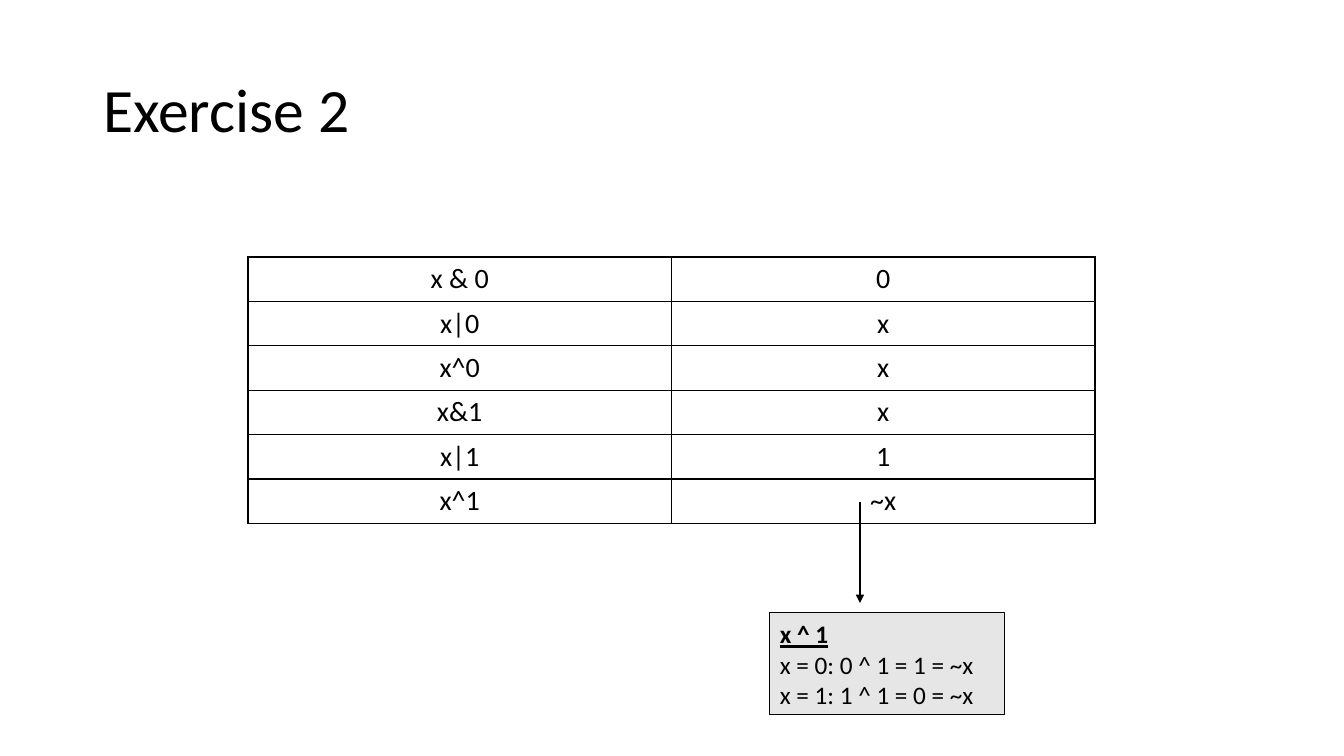
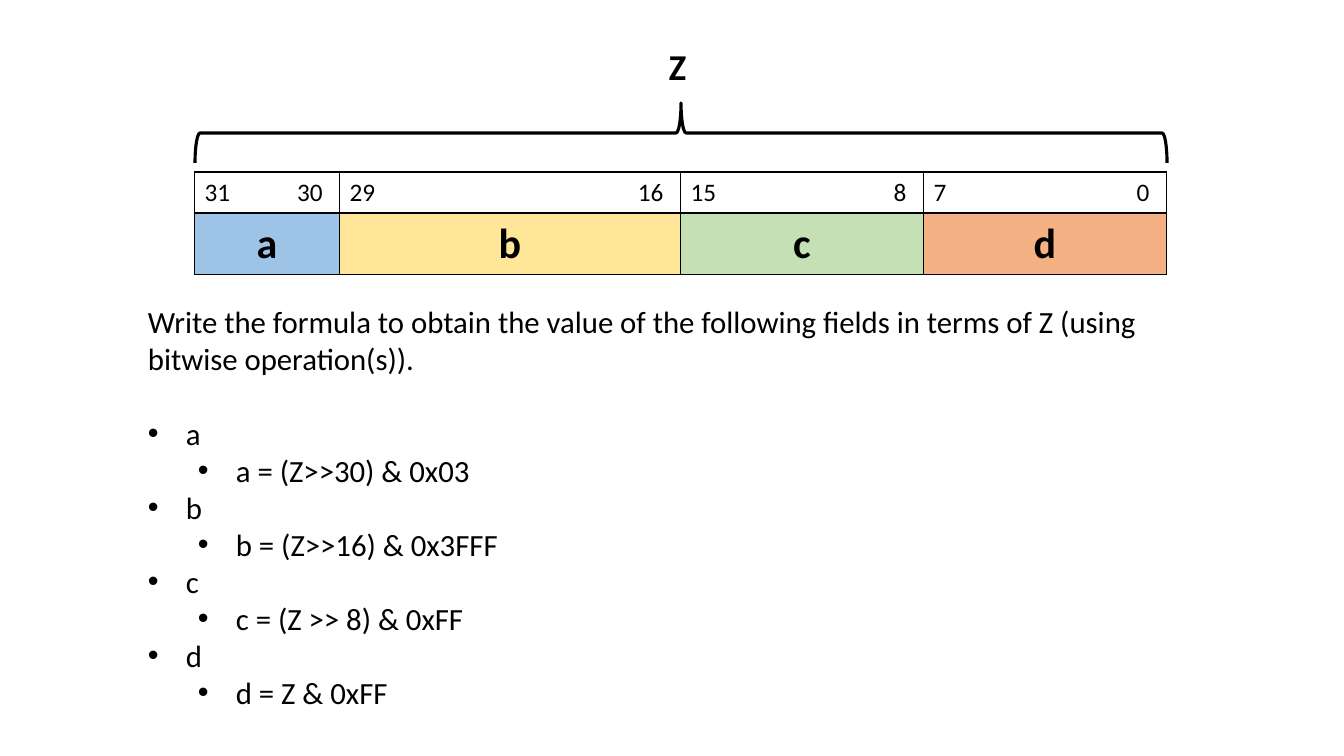
from lxml import etree
from pptx import Presentation
from pptx import util as u
from pptx.dml.color import RGBColor
from pptx.enum import shapes, text
from pptx.oxml import parse_xml
from pptx.oxml.ns import nsdecls, qn

BLACK = RGBColor(0x00, 0x00, 0x00)
GREY = RGBColor(0xE7, 0xE6, 0xE6)
BLUE = RGBColor(0x9D, 0xC3, 0xE6)
YELLOW = RGBColor(0xFF, 0xE6, 0x99)
GREEN = RGBColor(0xC5, 0xE0, 0xB4)
ORANGE = RGBColor(0xF4, 0xB1, 0x83)
FONT = "Calibri"
LEFT, CENTER = text.PP_ALIGN.LEFT, text.PP_ALIGN.CENTER
INDENT = 38
LEVEL_STEP = 50
TAB_GAP = 27

EXERCISE_ROWS = [("x & 0", "0"), ("x|0", "x"), ("x^0", "x"),
                 ("x&1", "x"), ("x|1", "1"), ("x^1", "~x")]
FIELDS = [("a", 31, 30, 145, BLUE), ("b", 29, 16, 341, YELLOW),
          ("c", 15, 8, 243, GREEN), ("d", 7, 0, 243, ORANGE)]
QUESTION = ("Write the formula to obtain the value of the following fields "
            "in terms of Z (using bitwise operation(s)).")
ANSWERS = {"a": "a = (Z>>30) & 0x03", "b": "b = (Z>>16) & 0x3FFF",
           "c": "c = (Z >> 8) & 0xFF", "d": "d = Z & 0xFF"}


def px(value):
    """Turn pixels into EMU."""
    return u.Inches(value / 100.8)


def apply(obj, formats):
    """Set every attribute named in a dict of format values."""
    for name, value in formats.items():
        setattr(obj, name, value)


def write(p, words, size, align=LEFT, **font):
    """Put one formatted run in a paragraph."""
    p.alignment = align
    r = p.add_run()
    r.text = words
    apply(r.font, {"name": FONT, "size": u.Pt(size), "bold": False, **font})
    r.font.color.rgb = BLACK


def next_paragraph(tf):
    """Return the first paragraph while it is empty, otherwise a new one."""
    first = tf.paragraphs[0]
    return tf.add_paragraph() if first.runs else first


def add_title(s, words):
    """Format the title placeholder and fill it."""
    sp = s.shapes.title
    apply(sp, {"left": px(93), "top": px(40), "width": px(1159), "height": px(146)})
    sp.text_frame.vertical_anchor = text.MSO_ANCHOR.MIDDLE
    p = sp.text_frame.paragraphs[0]
    p.line_spacing = 0.9
    write(p, words, 44)


def add_text(s, box):
    """Add a wrapping text box and return its frame."""
    tf = s.shapes.add_textbox(*map(px, box)).text_frame
    tf.word_wrap = True
    return tf


def add_shape(s, kind, box, weight, fill=None):
    """Add a black-outlined preset shape."""
    sp = s.shapes.add_shape(kind, *map(px, box))
    sp.shadow.inherit = False
    if fill is None:
        sp.fill.background()
    else:
        sp.fill.solid()
        sp.fill.fore_color.rgb = fill
    sp.line.color.rgb = BLACK
    sp.line.width = u.Pt(weight)
    return sp


def add_arrow(s, x1, y1, x2, y2):
    """Add a straight black arrow."""
    line = s.shapes.add_connector(shapes.MSO_CONNECTOR.STRAIGHT,
                                  *map(px, (x1, y1, x2, y2)))
    line.line.color.rgb = BLACK
    line.line.width = u.Pt(1.5)
    etree.SubElement(line.line._get_or_add_ln(), qn("a:tailEnd"), type="triangle")
    etree.SubElement(line._element.spPr, qn("a:effectLst"))


def add_table(s, left, top, widths, heights):
    """Add a plain table with thin black borders and no fill."""
    frame = s.shapes.add_table(len(heights), len(widths), px(left), px(top),
                               px(sum(widths)), px(sum(heights)))
    table = frame.table
    apply(table, {"first_row": False, "horz_banding": False})
    for column, width in zip(table.columns, widths):
        column.width = px(width)
    for row, height in zip(table.rows, heights):
        row.height = px(height)
    for cell in table.iter_cells():
        add_borders(cell)
        cell.fill.background()
    return table


def add_borders(cell):
    """Draw all four borders of a cell."""
    props = cell._tc.get_or_add_tcPr()
    for side in "LRTB":
        props.append(parse_xml(
            f'<a:ln{side} {nsdecls("a")} w="{u.Pt(1)}"><a:solidFill>'
            f'<a:srgbClr val="{BLACK}"/></a:solidFill></a:ln{side}>'))


def add_right_tab(p, position):
    """Give a paragraph one right-aligned tab stop."""
    tabs = etree.SubElement(p._p.get_or_add_pPr(), qn("a:tabLst"))
    etree.SubElement(tabs, qn("a:tab"), pos=str(px(position)), algn="r")


def add_bullet(tf, words, level, before=0):
    """Add a bulleted paragraph at an outline level."""
    p = next_paragraph(tf)
    apply(p, {"level": level, "space_before": u.Pt(before)})
    props = p._p.get_or_add_pPr()
    props.set("marL", str(px(INDENT + level * LEVEL_STEP)))
    props.set("indent", str(-px(INDENT)))
    etree.SubElement(props, qn("a:buFont"), typeface="Arial")
    etree.SubElement(props, qn("a:buChar"), char="•")
    write(p, words, 22)


def build_exercise(prs):
    """Build the slide with the table of bitwise identities."""
    s = prs.slides.add_slide(prs.slide_layouts[5])
    add_title(s, "Exercise 2")
    note = add_shape(s, shapes.MSO_SHAPE.RECTANGLE, (770, 613, 235, 102), 0.75, GREY)
    tf = note.text_frame
    tf.word_wrap = True
    write(next_paragraph(tf), "x ^ 1", 18, bold=True, underline=True)
    for line in ("x = 0: 0 ^ 1 = 1 = ~x", "x = 1: 1 ^ 1 = 0 = ~x"):
        write(next_paragraph(tf), line, 18)
    add_arrow(s, 860, 502, 860, 603)
    table = add_table(s, 248, 257, [423.5] * 2, [43.75] * len(EXERCISE_ROWS))
    for i, row in enumerate(EXERCISE_ROWS):
        for j, words in enumerate(row):
            write(table.cell(i, j).text_frame.paragraphs[0], words, 20, CENTER)


def build_fields(prs):
    """Build the slide with the bit fields of Z and their formulas."""
    s = prs.slides.add_slide(prs.slide_layouts[6])
    widths = [field[3] for field in FIELDS]
    table = add_table(s, 194.5, 172, widths, [41, 61])
    for j, (name, high, low, width, color) in enumerate(FIELDS):
        bits, label = table.cell(0, j), table.cell(1, j)
        p = bits.text_frame.paragraphs[0]
        add_right_tab(p, width - TAB_GAP)
        write(p, f"{high}\t{low}", 18)
        label.fill.solid()
        label.fill.fore_color.rgb = color
        write(label.text_frame.paragraphs[0], name, 30, CENTER, bold=True)
    tf = add_text(s, (138, 298, 1086, 458))
    write(next_paragraph(tf), QUESTION, 22)
    for i, (name, formula) in enumerate(ANSWERS.items()):
        add_bullet(tf, name, 0, before=0 if i else 27)
        add_bullet(tf, formula, 1)
    span = sum(widths)
    brace = add_shape(s, shapes.MSO_SHAPE.LEFT_BRACE,
                      (651, 133 - span / 2, 60, span), 2.25)
    brace.rotation = 90
    write(next_paragraph(add_text(s, (659, 39, 43, 54))), "Z", 26, bold=True)


def main():
    """Build and save the presentation."""
    prs = Presentation()
    apply(prs, {"slide_width": px(1344), "slide_height": px(756)})
    build_exercise(prs)
    build_fields(prs)
    prs.save("out.pptx")


main()
